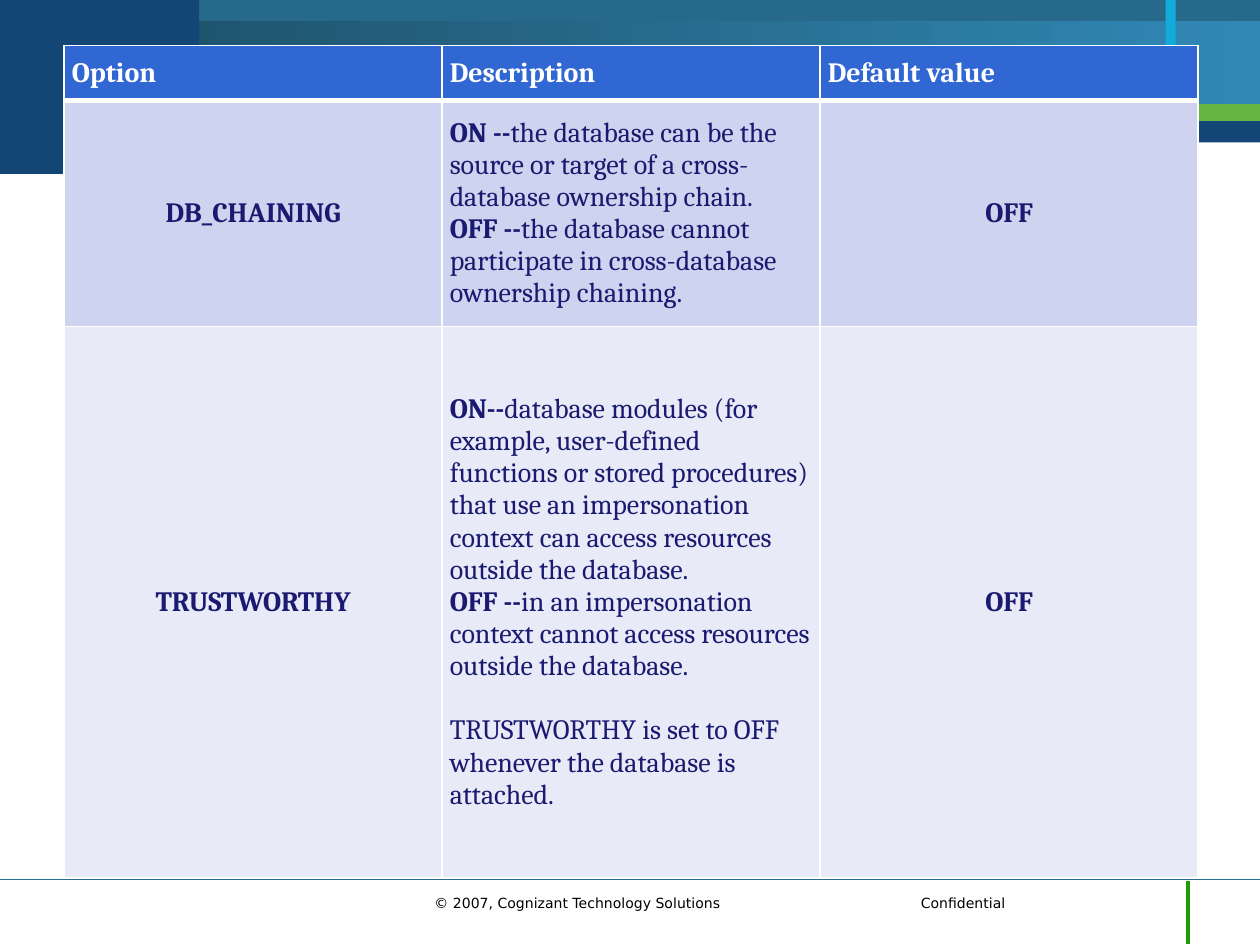
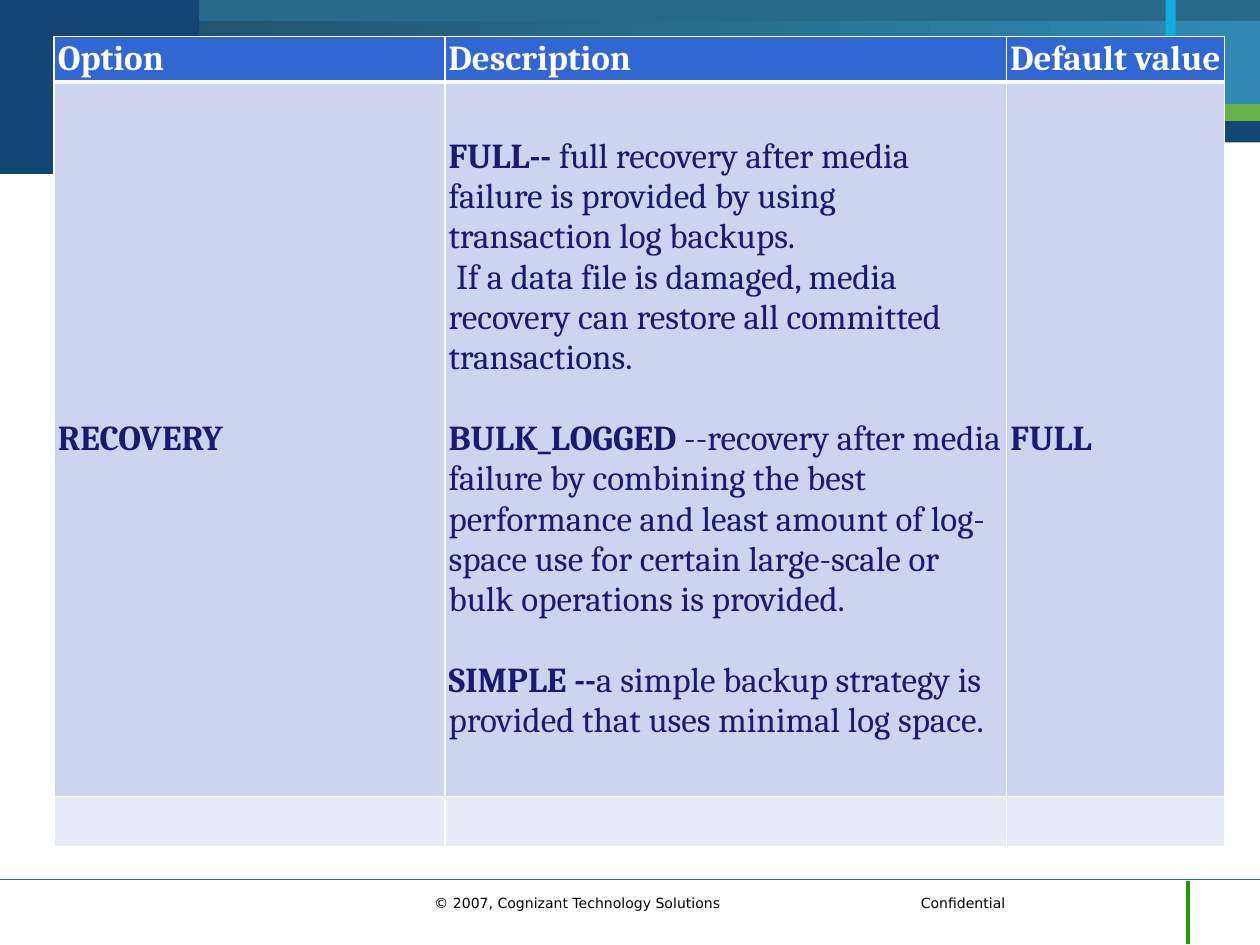
from dataclasses import dataclass

from lxml import etree
from pptx import Presentation
from pptx import util as u
from pptx.dml.color import RGBColor
from pptx.enum import shapes, text
from pptx.oxml.ns import qn


@dataclass(frozen=True)
class Theme:
    navy: str = "134575"
    teal: str = "26698A"
    sky: str = "3188B5"
    deep_teal: str = "1C4B61"
    cyan: str = "12ACDC"
    green: str = "2D9F01"
    light_green: str = "68B545"
    rule: str = "287094"
    tick: str = "209D03"
    header: str = "3167D3"
    row_fills: tuple = ("CED3EF", "E8EBF7")
    ink: str = "1A1A70"
    white: str = "FFFFFF"
    black: str = "000000"
    table_font: str = "Cambria"
    footer_font: str = "DejaVu Sans"
    footer_size: int = 8
    line_pitch: float = 1.15


theme = Theme()


def add_run(paragraph, words, size, color, font, bold=False):
    run = paragraph.add_run()
    run.text = words
    for name, value in {"name": font, "size": u.Pt(size), "bold": bold}.items():
        setattr(run.font, name, value)
    run.font.color.rgb = RGBColor.from_string(color)


def add_border(cell, side, width):
    line = etree.SubElement(cell._tc.get_or_add_tcPr(), qn(f"a:ln{side}"), w=str(u.Pt(width)))
    fill = etree.SubElement(line, qn("a:solidFill"))
    etree.SubElement(fill, qn("a:srgbClr"), val=theme.white)


prs = Presentation()
prs.slide_width, prs.slide_height = u.Inches(10), u.Inches(7.5)
layout = prs.slide_layouts[6]
option_slides = [prs.slides.add_slide(layout) for _ in range(2)]

# Shared header bands: left, top, width, height, colours from left to right
first = option_slides[0]
bands = [
    (0, 0.01, 10, 1.12, [theme.navy]),
    (1.58, 0, 8.42, 0.96, [theme.teal]),
    (0, 1.13, 1.58, 0.25, [theme.navy]),
    (0, 0.7, 10, 0.26, [theme.green, theme.light_green]),
    (0, 0.17, 10, 0.66, [theme.deep_teal, theme.sky]),
    (0, 0, 1.58, 1.17, [theme.navy]),
    (9.25, 0, 0.08, 0.67, [theme.cyan]),
]
for *box, colors in bands:
    band = first.shapes.add_shape(shapes.MSO_SHAPE.RECTANGLE, *map(u.Inches, box))
    band.shadow.inherit = False
    band.line.fill.background()
    if len(colors) == 1:
        band.fill.solid()
        band.fill.fore_color.rgb = RGBColor.from_string(colors[0])
    else:
        band.fill.gradient()
        band.fill.gradient_angle = 0
        for stop, color in zip(band.fill.gradient_stops, colors):
            stop.color.rgb = RGBColor.from_string(color)

# Shared footer rules
for *ends, color, width in [
    (10, 6.98, 0, 6.98, theme.rule, 0.75),
    (9.43, 6.99, 9.43, 7.49, theme.tick, 2),
]:
    rule = first.shapes.add_connector(shapes.MSO_CONNECTOR.STRAIGHT, *map(u.Inches, ends))
    rule.line.color.rgb = RGBColor.from_string(color)
    rule.line.width = u.Pt(width)
    etree.SubElement(rule.element.spPr, qn("a:effectLst"))

# Shared footer text, with a tab before the second part
footer = first.shapes.add_textbox(*map(u.Inches, (3.35, 7.05, 5.44, 0.37)))
footer.text_frame.word_wrap = True
notice = footer.text_frame.paragraphs[0]
tabs = etree.SubElement(notice._p.get_or_add_pPr(), qn("a:tabLst"))
etree.SubElement(tabs, qn("a:tab"), pos=str(u.Inches(3.86)), algn="l")
add_run(notice, "© 2007, Cognizant Technology Solutions\tConfidential",
        theme.footer_size, theme.black, theme.footer_font)

# Bands and footer belong to the layout, so every slide shows them
for part in list(first.shapes):
    layout.shapes.element.append(part.element)

# Option tables: a cell is a list of (bold lead, plain text, blank lines above, indent)
headings = ["Option", "Description", "Default value"]
option_tables = [
    {
        "at": (0.51, 0.36), "columns": (3, 3, 3), "rows": (0.44, 1.79, 4.38),
        "size": 16, "margins": (0.06, 0.03), "align": text.PP_ALIGN.CENTER,
        "options": [
            [
                [("DB_CHAINING", "", 0, 0)],
                [("ON --", "the database can be the source or target of a "
                  "cross-database ownership chain.", 0, 0),
                 ("OFF --", "the database cannot participate in cross-database "
                  "ownership chaining.", 0, 0)],
                [("OFF", "", 0, 0)],
            ],
            [
                [("TRUSTWORTHY", "", 0, 0)],
                [("ON--", "database modules (for example, user-defined functions or "
                  "stored procedures) that use an impersonation context can access "
                  "resources outside the database.", 0, 0),
                 ("OFF --", "in an impersonation context cannot access resources "
                  "outside the database.", 0, 0),
                 ("", "TRUSTWORTHY is set to OFF whenever the database is attached.", 1, 0)],
                [("OFF", "", 0, 0)],
            ],
        ],
    },
    {
        "at": (0.43, 0.29), "columns": (3.1, 4.46, 1.73), "rows": (0.36, 5.67, 0.4),
        "size": 20, "margins": (0.03, 0.01), "align": text.PP_ALIGN.LEFT,
        "options": [
            [
                [("RECOVERY", "", 0, 0)],
                [("FULL-- ", "full recovery after media failure is provided by using "
                  "transaction log backups.", 0, 0),
                 ("", "If a data file is damaged, media recovery can restore all "
                  "committed transactions.", 0, 0.06),
                 ("BULK_LOGGED", " --recovery after media failure by combining the best "
                  "performance and least amount of log-space use for certain large-scale "
                  "or bulk operations is provided.", 1, 0),
                 ("SIMPLE --", "a simple backup strategy is provided that uses minimal "
                  "log space.", 1, 0)],
                [("FULL", "", 0, 0)],
            ],
            [[], [], []],
        ],
    },
]

for slide, plan in zip(option_slides, option_tables):
    widths, heights, size = plan["columns"], plan["rows"], plan["size"]
    frame = slide.shapes.add_table(
        len(heights), len(widths),
        *map(u.Inches, (*plan["at"], sum(widths), sum(heights))))
    options = frame.table
    options.horz_banding = False
    for column, width in zip(options.columns, widths):
        column.width = u.Inches(width)
    for row, height in zip(options.rows, heights):
        row.height = u.Inches(height)

    side, top = map(u.Inches, plan["margins"])
    cell_format = {
        "margin_left": side, "margin_right": side,
        "margin_top": top, "margin_bottom": top,
        "vertical_anchor": text.MSO_ANCHOR.MIDDLE,
    }
    contents = [[[(heading, "", 0, 0)] for heading in headings], *plan["options"]]
    for r, row_cells in enumerate(contents):
        is_header = r == 0
        fill = theme.header if is_header else theme.row_fills[(r - 1) % 2]
        ink = theme.white if is_header else theme.ink
        for c, entries in enumerate(row_cells):
            cell = options.cell(r, c)
            for name, value in cell_format.items():
                setattr(cell, name, value)
            for edge in "LRTB":
                is_header_rule = (r, edge) in [(0, "B"), (1, "T")]
                add_border(cell, edge, 3 if is_header_rule else 1)
            cell.fill.solid()
            cell.fill.fore_color.rgb = RGBColor.from_string(fill)

            for i, (lead, words, blank_lines, indent) in enumerate(entries):
                frame_text = cell.text_frame
                entry = frame_text.add_paragraph() if i else frame_text.paragraphs[0]
                if not is_header and c != 1:
                    entry.alignment = plan["align"]
                if blank_lines:
                    entry.space_before = u.Pt(round(blank_lines * size * theme.line_pitch, 1))
                if indent:
                    entry._p.get_or_add_pPr().set("indent", str(u.Inches(indent)))
                for part, bold in [(lead, True), (words, False)]:
                    if part:
                        add_run(entry, part, size, ink, theme.table_font, bold)

prs.save("out.pptx")
